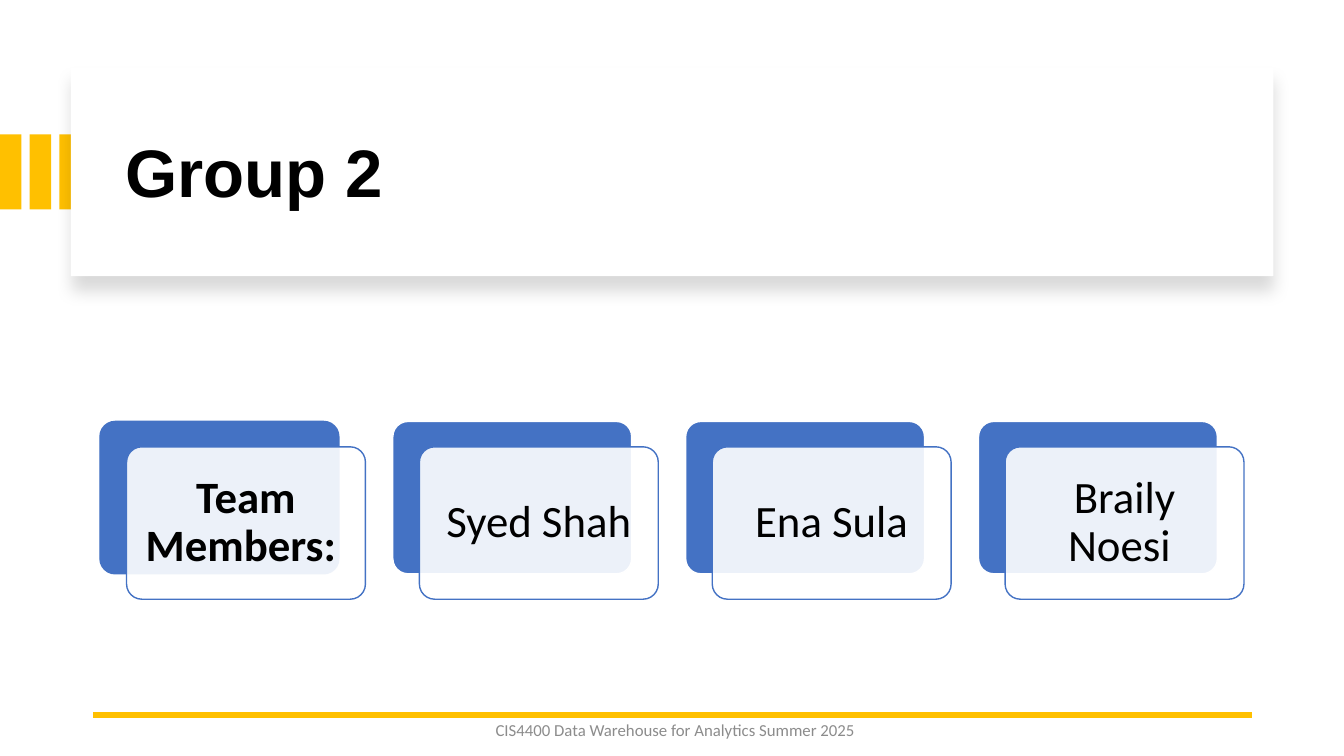
import pptx
import pptx.dml.color
import pptx.enum.shapes
import pptx.enum.text
import pptx.oxml
import pptx.oxml.ns
import pptx.util
from pptx.util import Cm

COLORS = {
    "gold": "FFC000",
    "blue": "4472C4",
    "white": "FFFFFF",
    "black": "000000",
    "gray": "8C8C8C",
}
SHAPES = pptx.enum.shapes.MSO_SHAPE
ALIGN = pptx.enum.text.PP_ALIGN
NS = pptx.oxml.ns.nsdecls("a")
SHADOW = (
    f'<a:effectLst {NS}><a:outerShdw blurRad="139700" dist="127000" dir="5400000" '
    f'algn="t" rotWithShape="0"><a:srgbClr val="{COLORS["black"]}">'
    '<a:alpha val="15000"/></a:srgbClr></a:outerShdw></a:effectLst>'
)


class Deck:
    def __init__(self, prs):
        self.slide = prs.slides.add_slide(prs.slide_layouts[5])
        self.shapes = self.slide.shapes

    def color(self, name):
        return pptx.dml.color.RGBColor.from_string(COLORS[name])

    def set_text(self, s, text, size, font, color="black", bold=False, align=ALIGN.CENTER, spacing=0.9):
        tf = s.text_frame
        tf.word_wrap = True
        tf.auto_size = pptx.enum.text.MSO_AUTO_SIZE.NONE
        tf.vertical_anchor = pptx.enum.text.MSO_ANCHOR.MIDDLE
        p = tf.paragraphs[0]
        p.text = text
        p.alignment = align
        p.line_spacing = spacing
        p.font.size = pptx.util.Pt(size)
        p.font.name = font
        p.font.bold = bold
        p.font.color.rgb = self.color(color)

    def title(self, text, x, y, w, h):
        s = self.shapes.title
        self.shapes._spTree.append(s._element)
        s.left, s.top, s.width, s.height = Cm(x), Cm(y), Cm(w), Cm(h)
        self.set_text(s, text, 48, "Arial", bold=True, align=ALIGN.LEFT)

    def box(self, x, y, w, h, fill, line=None, kind=SHAPES.RECTANGLE):
        s = self.shapes.add_shape(kind, Cm(x), Cm(y), Cm(w), Cm(h))
        s.shadow.inherit = False
        s.fill.solid()
        s.fill.fore_color.rgb = self.color(fill)
        if line:
            s.line.color.rgb = self.color(line)
            s.line.width = pptx.util.Pt(1)
        else:
            s.line.fill.background()
        return s

    def panel(self, x, y, w, h):
        spPr = self.box(x, y, w, h, "white")._element.spPr
        spPr.remove(spPr.find(pptx.oxml.ns.qn("a:effectLst")))
        spPr.append(pptx.oxml.parse_xml(SHADOW))

    def rounded(self, x, y, fill, line):
        s = self.box(x, y, 6.02, 3.84, fill, line, SHAPES.ROUNDED_RECTANGLE)
        s.adjustments[0] = 0.1
        return s

    def card(self, x, y, text, back_line, bold):
        self.rounded(x, y, "blue", back_line)
        s = self.rounded(x + 0.67, y + 0.64, "white", "blue")
        clr = s._element.spPr.find(".//" + pptx.oxml.ns.qn("a:srgbClr"))
        clr.append(pptx.oxml.parse_xml(f'<a:alpha {NS} val="90000"/>'))
        tf = s.text_frame
        tf.margin_left = tf.margin_right = tf.margin_top = tf.margin_bottom = Cm(0.33)
        self.set_text(s, text, 32, "Calibri", bold=bold)

    def rule(self, x1, x2, y):
        s = self.shapes.add_connector(
            pptx.enum.shapes.MSO_CONNECTOR.STRAIGHT, Cm(x1), Cm(y), Cm(x2), Cm(y))
        s.line.color.rgb = self.color("gold")
        s.line.width = pptx.util.Pt(4.5)
        s._element.spPr.append(pptx.oxml.parse_xml(f"<a:effectLst {NS}/>"))

    def footer(self, text, x, y, w, h):
        s = self.shapes.add_textbox(Cm(x), Cm(y), Cm(w), Cm(h))
        self.set_text(s, text, 12, "Calibri", "gray", spacing=1.0)


def main():
    prs = pptx.Presentation()
    prs.slide_width, prs.slide_height = Cm(33.87), Cm(19.05)
    deck = Deck(prs)
    for i in range(3):
        deck.box(i * 0.75, 3.39, 0.54, 1.89, "gold")
    deck.panel(1.79, 1.7, 30.3, 5.26)
    deck.title("Group 2", 2.9, 2.26, 28.27, 4.32)
    deck.rule(31.55, 2.34, 18.01)
    for i, name in enumerate(["Team Members: ", "Syed Shah", "Ena Sula", "Braily Noesi "]):
        heading = i == 0
        deck.card(2.52 + i * 7.38, 10.62, name, "blue" if heading else "white", heading)
    deck.footer("CIS4400 Data Warehouse for Analytics Summer 2025", 10.67, 17.88, 12.7, 1.02)
    prs.save("out.pptx")


if __name__ == "__main__":
    main()
